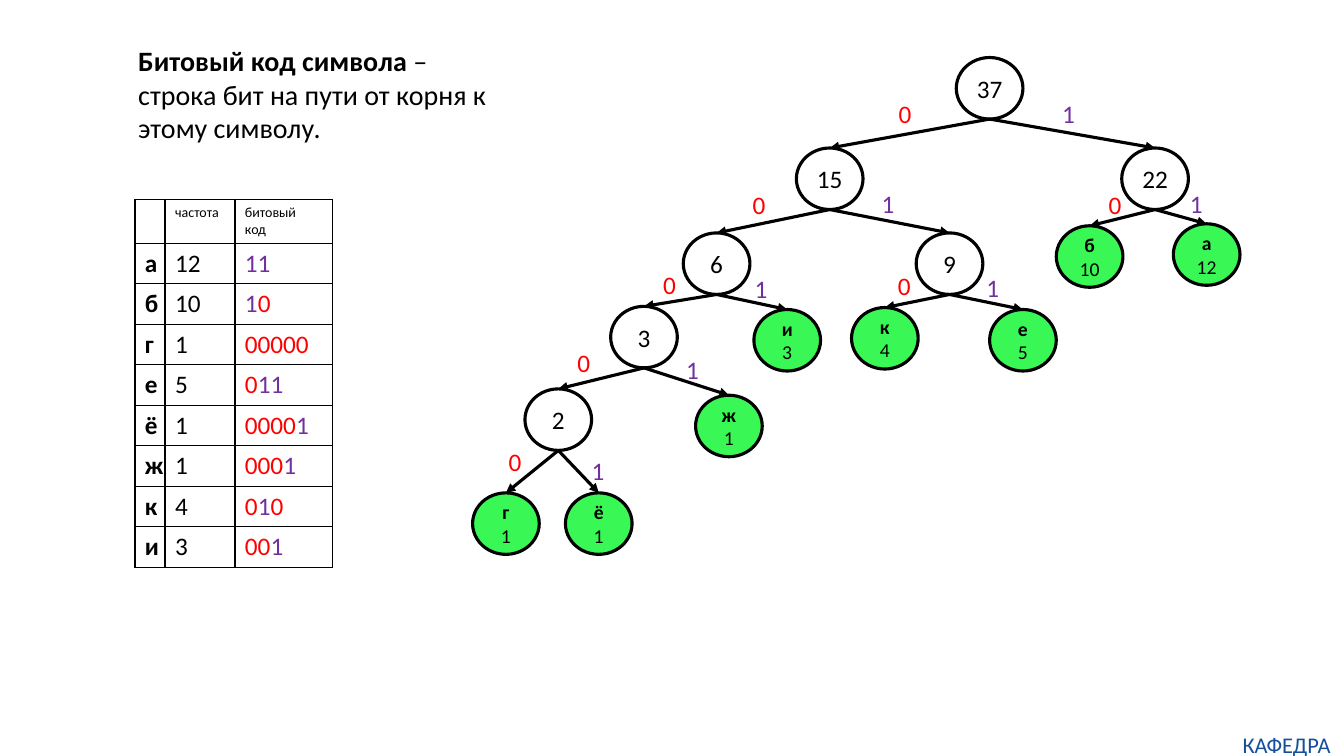
from dataclasses import dataclass
from itertools import groupby

from lxml.etree import SubElement
from pptx import Presentation
from pptx.dml.color import RGBColor
from pptx.enum.shapes import MSO_CONNECTOR as Connector, MSO_SHAPE as Shape
from pptx.enum.text import MSO_ANCHOR as Anchor, PP_ALIGN as Align
from pptx.oxml.ns import qn
from pptx.util import Cm, Pt


@dataclass(frozen=True)
class Theme:
    font: str = "Calibri"
    ink: str = "000000"
    zero: str = "FF0000"
    one: str = "7030A0"
    leaf: str = "39F754"
    footer: str = "144E9D"
    title_size: int = 20
    body_size: int = 18
    footer_size: int = 16
    leaf_size: int = 14
    header_size: int = 10
    tree_line: float = 2.25
    table_line: float = 1

    def bit(self, digit):
        return self.zero if digit == "0" else self.one


THEME = Theme()
NODE_WIDTH, NODE_HEIGHT = 1.68, 1.55

LEAVES = {
    "11": ("а", 12), "10": ("б", 10), "00000": ("г", 1), "011": ("е", 5),
    "00001": ("ё", 1), "0001": ("ж", 1), "010": ("к", 4), "001": ("и", 3),
}
NODE_PLACES = {
    "": (24.1, 1.45), "0": (20.07, 3.73), "1": (28.27, 3.73),
    "00": (17.22, 5.87), "01": (23.09, 5.87),
    "10": (26.62, 5.69), "11": (29.57, 5.64),
    "000": (15.39, 7.72), "001": (19, 7.8),
    "010": (21.46, 7.75), "011": (24.94, 7.8),
    "0000": (13.23, 9.8), "0001": (17.53, 9.96),
    "00000": (11.91, 12.42), "00001": (14.25, 12.42),
}
LABEL_PLACES = {
    "0": (22.4, 2.36), "1": (26.52, 2.36),
    "00": (18.72, 4.65), "01": (21.97, 4.62),
    "10": (27.69, 4.65), "11": (29.74, 4.62),
    "000": (16.46, 6.65), "001": (18.77, 6.76),
    "010": (22.38, 6.68), "011": (24.61, 6.73),
    "0000": (14.3, 8.64), "0001": (17.04, 8.81),
    "00000": (12.57, 11.13), "00001": (14.66, 11.35),
}


def color(value):
    return RGBColor.from_string(value)


def style(paragraph, size, ink=THEME.ink, bold=False, align=Align.LEFT):
    paragraph.alignment = align
    font = paragraph.font
    font.name, font.size, font.bold = THEME.font, Pt(size), bold
    font.color.rgb = color(ink)


def add_text(slide, place, size, text, text_size, ink, align=Align.LEFT):
    box = slide.shapes.add_textbox(*map(Cm, place + size))
    box.text_frame.text = text
    style(box.text_frame.paragraphs[0], text_size, ink, align=align)
    return box.text_frame


def add_title(slide):
    title = slide.shapes.title
    title.left, title.top = Cm(3.23), Cm(0.97)
    title.width, title.height = Cm(9.42), Cm(2.82)
    frame = title.text_frame
    frame.vertical_anchor = Anchor.TOP
    first = frame.paragraphs[0]
    term = first.add_run()
    term.text = "Битовый код символа "
    term.font.bold = True
    first.add_run().text = "–"
    frame.add_paragraph().text = "строка бит на пути от корня к этому символу."
    for paragraph in frame.paragraphs:
        style(paragraph, THEME.title_size)


def format_cell(cell):
    properties = cell._tc.get_or_add_tcPr()
    for side in ("a:lnL", "a:lnR", "a:lnT", "a:lnB"):
        line = SubElement(properties, qn(side), w=str(Pt(THEME.table_line)))
        fill = SubElement(line, qn("a:solidFill"))
        SubElement(fill, qn("a:srgbClr"), val=THEME.ink)
    cell.fill.background()


def fill_cell(cell, text, size, bold=False):
    format_cell(cell)
    cell.text = text
    for paragraph in cell.text_frame.paragraphs:
        style(paragraph, size, bold=bold)


def fill_code_cell(cell, code):
    format_cell(cell)
    paragraph = cell.text_frame.paragraphs[0]
    style(paragraph, THEME.body_size)
    for digit, digits in groupby(code):
        run = paragraph.add_run()
        run.text = "".join(digits)
        run.font.color.rgb = color(THEME.bit(digit))


def add_code_table(slide):
    widths = (0.76, 1.76, 2.45)
    header_height, row_height = 1.1, 1.02
    frame = slide.shapes.add_table(
        len(LEAVES) + 1, len(widths), Cm(3.4), Cm(5.03),
        Cm(sum(widths)), Cm(header_height + row_height * len(LEAVES)))
    table = frame.table
    table.first_row = table.horz_banding = False
    for column, width in zip(table.columns, widths):
        column.width = Cm(width)
    for index, row in enumerate(table.rows):
        row.height = Cm(row_height if index else header_height)
    for column, heading in enumerate(("", "частота", "битовый\nкод")):
        fill_cell(table.cell(0, column), heading, THEME.header_size)
    for row, (code, (letter, frequency)) in enumerate(LEAVES.items(), 1):
        fill_cell(table.cell(row, 0), letter, THEME.body_size, bold=True)
        fill_cell(table.cell(row, 1), str(frequency), THEME.body_size)
        fill_code_cell(table.cell(row, 2), code)


def add_node(slide, code):
    place = NODE_PLACES[code]
    node = slide.shapes.add_shape(
        Shape.OVAL, *map(Cm, place + (NODE_WIDTH, NODE_HEIGHT)))
    node.shadow.inherit = False
    node.line.color.rgb = color(THEME.ink)
    node.line.width = Pt(THEME.tree_line)
    frame = node.text_frame
    frame.vertical_anchor = Anchor.MIDDLE
    if code in LEAVES:
        letter, frequency = LEAVES[code]
        node.fill.solid()
        node.fill.fore_color.rgb = color(THEME.leaf)
        frame.text = f"{letter}\n{frequency}"
        for paragraph, bold in zip(frame.paragraphs, (True, False)):
            style(paragraph, THEME.leaf_size, bold=bold, align=Align.CENTER)
    else:
        node.fill.background()
        frame.text = str(sum(frequency for leaf, (_, frequency) in LEAVES.items()
                             if leaf.startswith(code)))
        style(frame.paragraphs[0], THEME.body_size, align=Align.CENTER)
    return node


def add_edge(slide, parent, child):
    edge = slide.shapes.add_connector(
        Connector.STRAIGHT, parent.left + parent.width // 2,
        parent.top + parent.height, child.left + child.width // 2, child.top)
    edge.end_connect(child, 0)
    edge.line.color.rgb = color(THEME.ink)
    edge.line.width = Pt(THEME.tree_line)
    SubElement(edge.line._get_or_add_ln(), qn("a:tailEnd"), type="triangle")
    SubElement(edge._element.spPr, qn("a:effectLst"))


def add_tree(slide):
    nodes = {code: add_node(slide, code) for code in NODE_PLACES}
    for code, place in LABEL_PLACES.items():
        add_edge(slide, nodes[code[:-1]], nodes[code])
    for code, place in LABEL_PLACES.items():
        frame = add_text(slide, place, (0.84, 1.02), code[-1],
                         THEME.body_size, THEME.bit(code[-1]))
        frame.word_wrap = False


def add_footer(slide):
    frame = add_text(slide, (30.99, 18.42), (2.87, 0.69), "КАФЕДРА",
                     THEME.footer_size, THEME.footer, Align.CENTER)
    frame.word_wrap = True
    frame.margin_left = frame.margin_right = 0
    frame.margin_top = frame.margin_bottom = 0


def main():
    presentation = Presentation()
    presentation.slide_width, presentation.slide_height = Cm(33.87), Cm(19.05)
    slide = presentation.slides.add_slide(presentation.slide_layouts[5])
    add_footer(slide)
    add_code_table(slide)
    add_tree(slide)
    add_title(slide)
    presentation.save("out.pptx")


if __name__ == "__main__":
    main()
